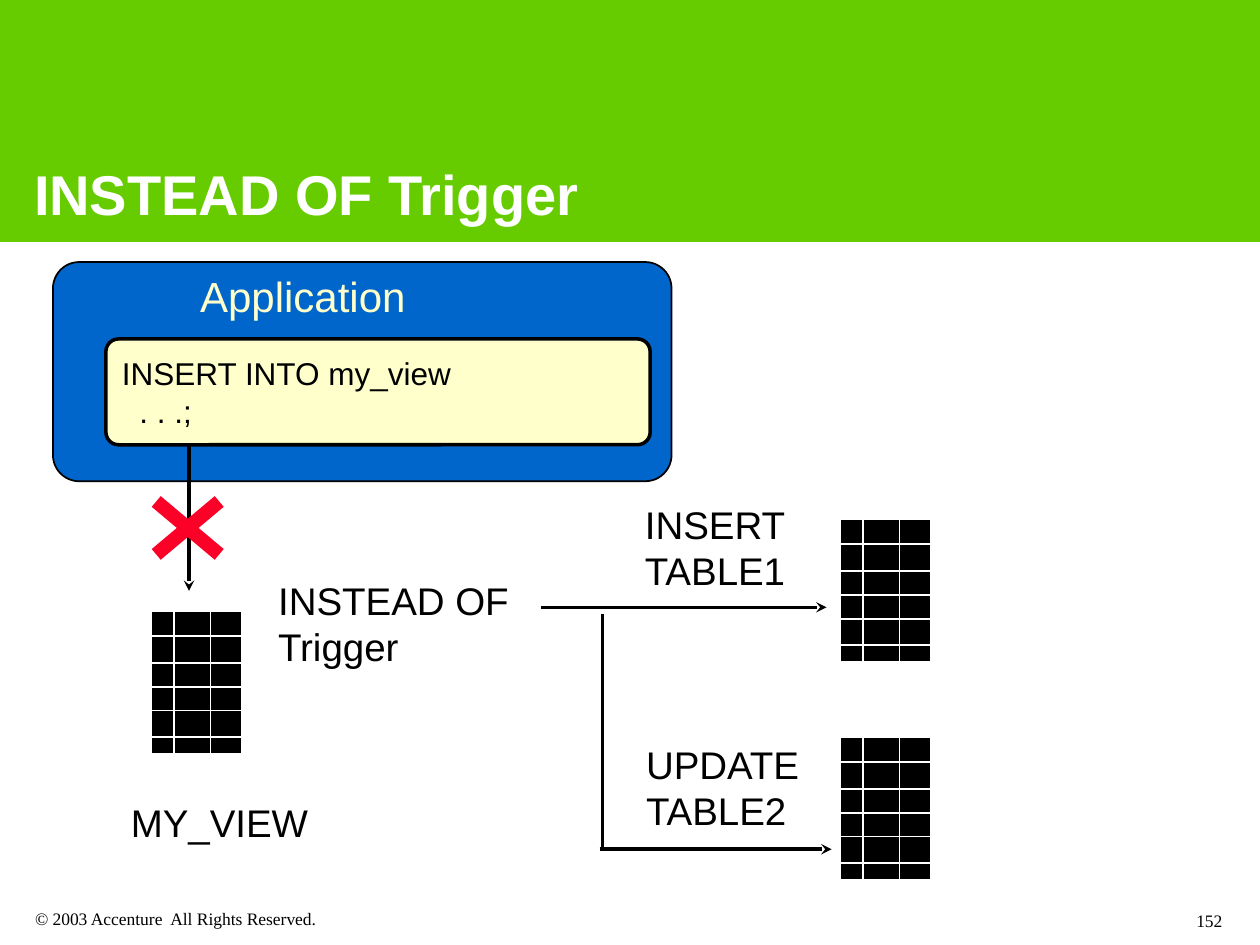
from lxml.etree import SubElement
from pptx import Presentation
from pptx.dml.color import RGBColor
from pptx.enum.shapes import MSO_CONNECTOR as Connector, MSO_SHAPE as Shape
from pptx.enum.text import MSO_ANCHOR as Anchor, MSO_AUTO_SIZE as AutoSize, PP_ALIGN as Align
from pptx.oxml.ns import qn
from pptx.util import Inches, Pt

hex_colour = RGBColor.from_string

deck = Presentation()
deck.slide_width, deck.slide_height = Inches(10), Inches(7.5)
cell = deck.slide_width // 100  # grid of 100 columns by 75 rows
page = deck.slides.add_slide(deck.slide_layouts[5])
shapes = page.shapes


def write(frame, lines, size, colour, font="Arial", bold=False, align=Align.LEFT,
          anchor=Anchor.TOP, wrap=True):
    frame.word_wrap, frame.auto_size = wrap, AutoSize.NONE
    frame.vertical_anchor = anchor
    for index, line in enumerate(lines):
        para = frame.add_paragraph() if index else frame.paragraphs[0]
        para.alignment = align
        span = para.add_run()
        span.text = line
        span.font.size, span.font.name, span.font.bold = Pt(size), font, bold
        span.font.color.rgb = hex_colour(colour)


def draw_line(ends, colour="000000", width=2, arrow=False):
    line = shapes.add_connector(Connector.STRAIGHT, *[round(cell * v) for v in ends])
    line.line.color.rgb = hex_colour(colour)
    line.line.width = Pt(width)
    if arrow:
        SubElement(line.line._get_or_add_ln(), qn("a:tailEnd"), type="stealth")
    SubElement(line._element.spPr, qn("a:effectLst"))


# Green header band, behind the title
band = shapes.add_shape(Shape.RECTANGLE, 0, 0, deck.slide_width, round(cell * 19.2))
band.shadow.inherit = False
band.fill.solid()
band.fill.fore_color.rgb = hex_colour("66CC00")
band.line.fill.background()
shapes._spTree.insert(2, band._element)

# Title
title = shapes.title
title.left, title.top, title.width, title.height = [
    round(cell * v) for v in (1.7, 12.5, 68.9, 6)]
write(title.text_frame, ["INSTEAD OF Trigger"], 32, "FFFFFF", bold=True, anchor=Anchor.BOTTOM)

# Application panel with its statement panel
for place, fill, width, code in [
    ((4.2, 20.8, 49.1, 17.4), "0066CC", 1, []),
    ((8.4, 26.9, 43.2, 8.4), "FFFFCC", 2, ["INSERT INTO my_view", "  . . .;"]),
]:
    panel = shapes.add_shape(Shape.ROUNDED_RECTANGLE, *[round(cell * v) for v in place])
    panel.adjustments[0] = 0.12
    panel.shadow.inherit = False
    panel.fill.solid()
    panel.fill.fore_color.rgb = hex_colour(fill)
    panel.line.color.rgb = hex_colour("000000")
    panel.line.width = Pt(width)
    write(panel.text_frame, code, 18, "000000", anchor=Anchor.MIDDLE, wrap=False)

# Arrow to the view, crossed out in red
draw_line((15, 35.2, 15, 46.9), arrow=True)
for start, end in [(12.4, 17.4), (17.4, 12.4)]:
    draw_line((start, 44, end, 39.8), "FC0128", 8)

# Arrows from the trigger to the two tables
draw_line((42.9, 48.2, 65.6, 48.2), arrow=True)
draw_line((47.8, 67.4, 47.8, 48.7))
draw_line((47.6, 67.4, 66, 67.4), arrow=True)

# Grid icons for the view and the tables
for left, top in [(12, 48.5), (66.7, 41.2), (66.7, 58.5)]:
    icon = shapes.add_shape(
        Shape.RECTANGLE, *[round(cell * v) for v in (left, top, 7.2, 11.3)])
    icon.shadow.inherit = False
    icon.fill.solid()
    icon.fill.fore_color.rgb = hex_colour("000000")
    icon.line.color.rgb = hex_colour("FFFFFF")
    icon.line.width = Pt(1)
    for column in (1.8, 4.7):
        draw_line((left + column, top, left + column, top + 11.5), "FFFFFF", 1)
    for row in (2, 4.1, 6, 7.9, 10):
        draw_line((left - 0.1, top + row, left + 7.3, top + row), "FFFFFF", 1)

# Labels
for text, place, size, colour in [
    ("Application", (14.9, 21, 18.3, 5), 24, "FFFFCC"),
    ("MY_VIEW", (9.4, 62.9, 30, 4.7), 22, "000000"),
    ("INSTEAD OF Trigger", (21.1, 45.3, 30, 8.3), 22, "000000"),
    ("INSERT TABLE1", (50.2, 39.3, 17.3, 8.3), 22, "000000"),
    ("UPDATE TABLE2", (50.3, 58.3, 18.6, 8.3), 22, "000000"),
]:
    box = shapes.add_textbox(*[round(cell * v) for v in place])
    write(box.text_frame, [text], size, colour)

# Footer and page number
for text, place, align, spacing in [
    ("© 2003 Accenture  All Rights Reserved.", (1.8, 69.2, 77.6, 5), Align.LEFT, 1.0),
    ("152", (79.5, 71.4, 18.5, 3), Align.RIGHT, 0.8),
]:
    box = shapes.add_textbox(*[round(cell * v) for v in place])
    write(box.text_frame, [text], 10, "000000", "Times New Roman", align=align,
          anchor=Anchor.BOTTOM)
    box.text_frame.paragraphs[0].line_spacing = spacing

deck.save("out.pptx")
